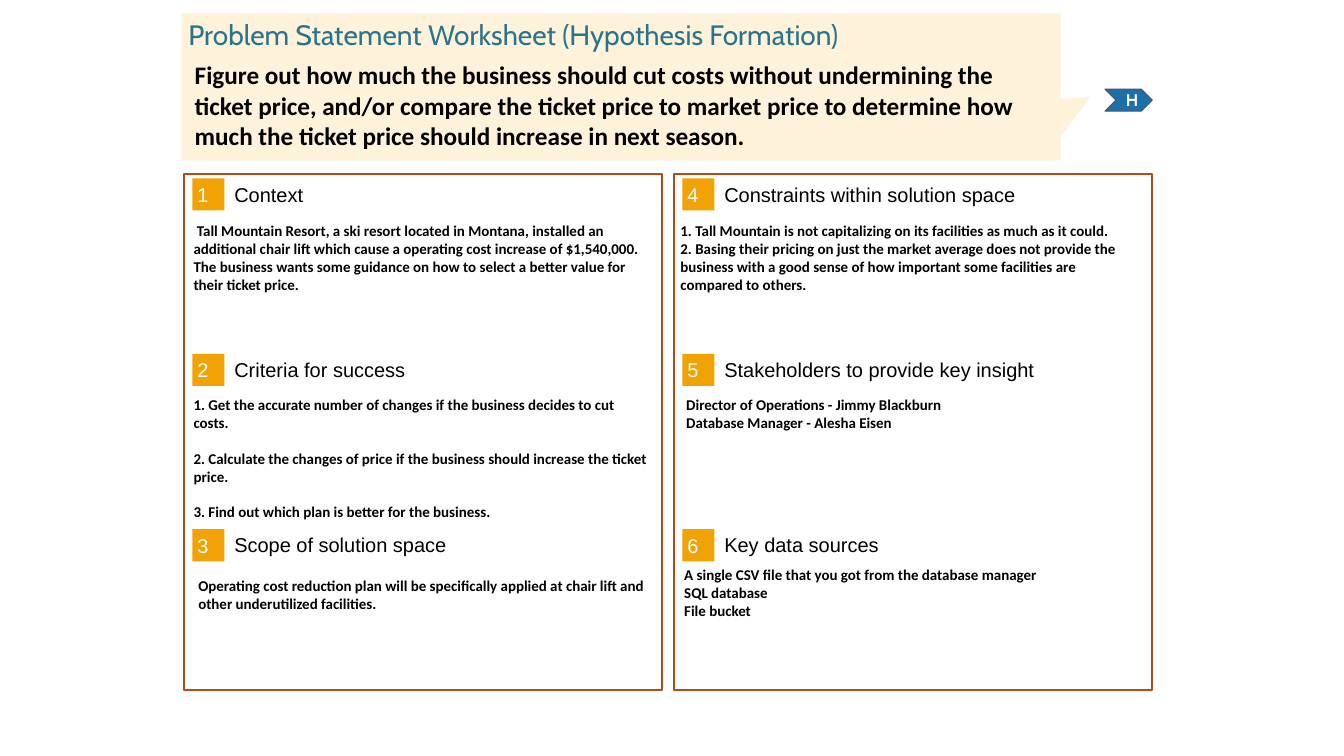
from dataclasses import dataclass

from pptx import Presentation
from pptx.dml.color import RGBColor
from pptx.enum.shapes import MSO_SHAPE as Shape
from pptx.enum.text import MSO_ANCHOR as Anchor, MSO_AUTO_SIZE as AutoSize, PP_ALIGN as Align
from pptx.util import Pt

COLORS = {
    "black": "000000", "white": "FFFFFF", "frame": "B74919", "badge": "F1A205",
    "cream": "FEF2DA", "title": "29748D", "tag": "1D6FA9", "tag_line": "44546A",
}
PANEL_LEFTS = (131.2, 481.2)
PANEL_TOP, PANEL_W, PANEL_H = 124.2, 342, 368.6
ROW_STEP = 125.3
TEXT_INSETS = (7.2, 3.6, 7.2, 3.6)
NO_INSETS = (0, 0, 0, 0)


@dataclass
class Box:
    left: float
    top: float
    width: float
    height: float

    def lengths(self) -> tuple:
        return Pt(self.left), Pt(self.top), Pt(self.width), Pt(self.height)


@dataclass
class Style:
    size: float
    font: str
    color: str
    bold: bool = False


@dataclass
class Section:
    heading: str
    body: Box
    lines: tuple
    gap: float = 0
    indent: float = 0


HEADING = Style(14.3, "Arial", "black")
BADGE = Style(14.3, "Arial", "white")
BODY = Style(10.7, "Calibri", "black", True)

# Numbered down the left panel, then down the right one
SECTIONS = (
    Section("Context", Box(131.2, 154.8, 340.6, 98), (
        "Tall Mountain Resort, a ski resort located in Montana, installed an additional "
        "chair lift which cause a operating cost increase of $1,540,000.",
        "The business wants some guidance on how to select a better value for their "
        "ticket price."), indent=2.4),
    Section("Criteria for success", Box(131.2, 278.9, 340.6, 111), (
        "1. Get the accurate number of changes if the business decides to cut costs.",
        "2. Calculate the changes of price if the business should increase the ticket price.",
        "3. Find out which plan is better for the business."), gap=12.8),
    Section("Scope of solution space", Box(134.6, 408.2, 340.6, 59), (
        "Operating cost reduction plan will be specifically applied at chair lift and "
        "other underutilized facilities.",)),
    Section("Constraints within solution space", Box(479, 154.8, 340.6, 85), (
        "1. Tall Mountain is not capitalizing on its facilities as much as it could.",
        "2. Basing their pricing on just the market average does not provide the business "
        "with a good sense of how important some facilities are compared to others.")),
    Section("Stakeholders to provide key insight", Box(483.1, 279.2, 340.6, 85), (
        "Director of Operations - Jimmy Blackburn",
        "Database Manager - Alesha Eisen")),
    Section("Key data sources", Box(481.7, 400.3, 340.6, 85), (
        "A single CSV file that you got from the database manager",
        "SQL database",
        "File bucket")),
)


def rgb(name: str) -> RGBColor:
    return RGBColor.from_string(COLORS[name])


def format_run(r, style: Style) -> None:
    r.font.size = Pt(style.size)
    r.font.name = style.font
    r.font.bold = style.bold
    r.font.color.rgb = rgb(style.color)


def write(sp, lines: tuple, style: Style, insets: tuple = TEXT_INSETS,
          anchor=Anchor.TOP, align=Align.LEFT, wrap: bool = True) -> None:
    tf = sp.text_frame
    tf.text = "\n".join(lines)
    tf.auto_size = AutoSize.NONE
    tf.word_wrap = wrap
    tf.vertical_anchor = anchor
    tf.margin_left, tf.margin_top, tf.margin_right, tf.margin_bottom = map(Pt, insets)
    for p in tf.paragraphs:
        p.alignment = align
        for r in p.runs:
            format_run(r, style)


def add_shape(slide, kind, box: Box, fill: str, line: str = "", weight: float = 0):
    sp = slide.shapes.add_shape(kind, *box.lengths())
    sp.shadow.inherit = False
    sp.fill.solid()
    sp.fill.fore_color.rgb = rgb(fill)
    if line:
        sp.line.color.rgb = rgb(line)
        sp.line.width = Pt(weight)
    else:
        sp.line.fill.background()
    return sp


def add_text(slide, box: Box, lines: tuple, style: Style, **layout):
    sp = slide.shapes.add_textbox(*box.lengths())
    write(sp, lines, style, **layout)
    return sp


def add_section(slide, index: int, section: Section) -> None:
    column, row = divmod(index, 3)
    left = PANEL_LEFTS[column]
    top = PANEL_TOP + 3.2 + row * ROW_STEP
    badge = add_shape(slide, Shape.RECTANGLE, Box(left + 6.2, top, 23, 23), "badge")
    write(badge, (str(index + 1),), BADGE, insets=(3.6,) * 4, anchor=Anchor.MIDDLE)
    add_text(slide, Box(left + 36.2, top + 2.2, 283, 18), (section.heading,), HEADING,
             insets=NO_INSETS, anchor=Anchor.MIDDLE)
    sp = add_text(slide, section.body, section.lines, BODY)
    first, *others = sp.text_frame.paragraphs
    if section.indent:
        first._p.get_or_add_pPr().set("indent", str(Pt(section.indent)))
    for p in others:
        p.space_before = Pt(section.gap)


def add_header(slide) -> None:
    # Hypothesis tag and callout
    tag = add_shape(slide, Shape.CHEVRON, Box(789.3, 63.6, 33.8, 15.8), "tag", "tag_line", 0.75)
    tag.adjustments[0] = 0.5
    write(tag, ("H",), Style(12, "Cabin", "white", True), anchor=Anchor.MIDDLE,
          align=Align.CENTER)
    callout = add_shape(slide, Shape.RECTANGULAR_CALLOUT, Box(129.8, 9.5, 627.8, 105.1), "cream")
    callout.adjustments[0] = 0.535
    callout.adjustments[1] = 0.066

    # Title, raised in front of the callout
    title = slide.shapes.title
    title.left, title.top, title.width, title.height = Box(134.6, 15.1, 692.6, 24.5).lengths()
    write(title, ("Problem Statement Worksheet (Hypothesis Formation)",),
          Style(20, "Cabin", "title"), insets=NO_INSETS)
    title.text_frame.paragraphs[0].line_spacing = 0.9
    callout._element.addnext(title._element)

    # Problem statement
    add_text(slide, Box(132, 39, 603.4, 59), (
        "Figure out how much the business should cut costs without undermining the ticket "
        "price, and/or compare the ticket price to market price to determine how much the "
        "ticket price should increase in next season.",), Style(18, "Calibri", "black", True))


def main() -> None:
    prs = Presentation()
    prs.slide_width, prs.slide_height = Pt(960), Pt(540)
    slide = prs.slides.add_slide(prs.slide_layouts[5])
    for left in PANEL_LEFTS:
        add_shape(slide, Shape.RECTANGLE, Box(left, PANEL_TOP, PANEL_W, PANEL_H),
                  "white", "frame", 1.5)
    for index, section in enumerate(SECTIONS):
        add_section(slide, index, section)
    add_header(slide)
    prs.save("out.pptx")


if __name__ == "__main__":
    main()
